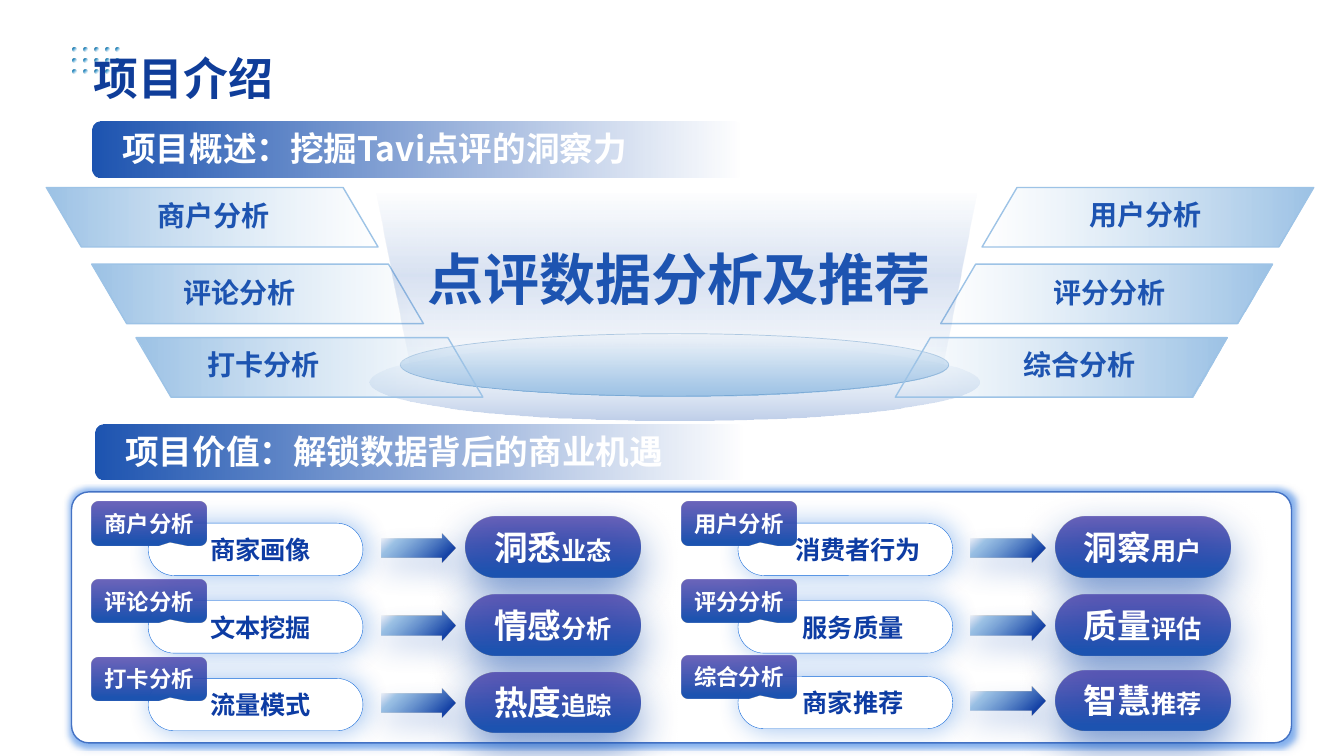
import math

from pptx import Presentation
from pptx.dml.color import RGBColor
from pptx.enum.shapes import MSO_SHAPE
from pptx.enum.text import MSO_ANCHOR, PP_ALIGN
from pptx.oxml import parse_xml
from pptx.oxml.ns import nsdecls, qn
from pptx.util import Inches, Pt

LEFT, CENTER = PP_ALIGN.LEFT, PP_ALIGN.CENTER
TOP, MIDDLE = MSO_ANCHOR.TOP, MSO_ANCHOR.MIDDLE
ROUND, OVAL = MSO_SHAPE.ROUNDED_RECTANGLE, MSO_SHAPE.OVAL
SLANT, TRAPEZOID = MSO_SHAPE.PARALLELOGRAM, MSO_SHAPE.TRAPEZOID
CALLOUT, ARROW = MSO_SHAPE.ROUNDED_RECTANGULAR_CALLOUT, MSO_SHAPE.RIGHT_ARROW
FONT = "Noto Sans CJK SC"

COLORS = {
    "white": "FFFFFF", "blue": "1D54B1", "sky": "9DC3E6", "pale": "BDD7EE",
    "title": "0F3D99", "pill": "0D3CA3", "bright": "0D66DA", "frame": "4472C4",
    "violet": "463DA9", "rim": "0070C0", "edge": "2E75B6", "glow": "5B9BF0",
    "dot": "006FAC", "dot_end": "0086CE",
    "arrow": "00319E", "arrow_mid": "5B9BD5", "arrow_end": "698ED0",
}

# Content
TITLE = "项目介绍"
BANNERS = [("项目概述：挖掘Tavi点评的洞察力", 0.92, 1.21),
           ("项目价值：解锁数据背后的商业机遇", 0.95, 4.21)]
CENTER_TEXT = "点评数据分析及推荐"
# Side bands: left, top, width, mirrored
BACK_BANDS = [(9.33, 2.62, 3.29, False), (0.46, 1.86, 3.29, True),
              (0.91, 2.62, 3.29, True)]
FRONT_BANDS = [(1.35, 3.35, 3.44, True), (8.88, 3.35, 3.29, False),
               (9.74, 1.86, 3.29, False)]
# Band labels: text, left, top, width, alignment
BAND_LABELS = [
    ("商户分析", 1.46, 1.92, 1.4, LEFT), ("评论分析", 1.72, 2.68, 2.77, LEFT),
    ("打卡分析", 1.96, 3.4, 1.4, LEFT), ("用户分析", 9.95, 1.91, 2.83, CENTER),
    ("评分分析", 9.59, 2.68, 2.83, CENTER), ("综合分析", 10.05, 3.4, 1.4, LEFT),
]
# Value columns: left, then rows of top, tag, method, extra indent, result, object
VALUE_COLUMNS = [
    (0.91, [(5.19, "商户分析", "商家画像", 0.1, "洞悉", "业态"),
            (5.96, "评论分析", "文本挖掘", 0.1, "情感", "分析"),
            (6.73, "打卡分析", "流量模式", 0.1, "热度", "追踪")]),
    (6.76, [(5.19, "用户分析", "消费者行为", 0.25, "洞察", "用户"),
            (5.96, "评分分析", "服务质量", 0.15, "质量", "评估"),
            (6.71, "综合分析", "商家推荐", 0.15, "智慧", "推荐")]),
]

# Gradients: stops of position, colour, opacity; then the angle (None: from a corner)
BAND_FILL = ([(0, "sky", 100), (100, "pale", 0)], 180)
BANNER_FILL = ([(0, "blue", 100), (100, "blue", 0)], 0)
BEAM_FILL = ([(0, "blue", 0), (53, "blue", 17), (98, "blue", 0)], 90)
BASE_FILL = ([(0, "sky", 0), (100, "blue", 29)], 90)
DISC_FILL = ([(0, "sky", 0), (100, "sky", 100)], 90)
RIM_FILL = ([(0, "sky", 0), (50, "sky", 100), (100, "rim", 100)], 45)
DOT_FILL = ([(18, "dot", 100), (82, "dot_end", 0)], 45)
BUTTON_FILL = ([(8, "blue", 100), (100, "violet", 79)], 270)
ARROW_FILL = ([(16, "arrow", 90), (79, "arrow_mid", 57), (98, "arrow_end", 0)], None)


def rgb(name):
    return RGBColor.from_string(COLORS[name])


def color_xml(name, opacity):
    return f'<a:srgbClr val="{COLORS[name]}"><a:alpha val="{opacity * 1000}"/></a:srgbClr>'


def paint(shape, fill=None, line=None, width=1):
    if isinstance(fill, tuple):
        stops, angle = fill
        stop_xml = "".join(f'<a:gs pos="{position * 1000}">{color_xml(name, opacity)}</a:gs>'
                           for position, name, opacity in stops)
        if angle is None:
            shade = '<a:path path="circle"><a:fillToRect l="100000" t="100000"/></a:path>'
        else:
            shade = f'<a:lin ang="{angle * 60000}" scaled="0"/>'
        shape.fill.background()
        properties = shape._element.spPr
        properties.replace(properties.find(qn("a:noFill")), parse_xml(
            f'<a:gradFill {nsdecls("a")} rotWithShape="1">'
            f'<a:gsLst>{stop_xml}</a:gsLst>{shade}</a:gradFill>'))
    else:
        shape.fill.solid()
        shape.fill.fore_color.rgb = rgb(fill)
    if line:
        shape.line.color.rgb = rgb(line)
        shape.line.width = Pt(width)
    else:
        shape.line.fill.background()
    shape.shadow.inherit = False


def add_effect(shape, xml):
    shape._element.spPr.find(qn("a:effectLst")).append(parse_xml(xml))


def add_shadow(shape, name, opacity, blur, distance, angle):
    add_effect(shape, f'<a:outerShdw {nsdecls("a")} blurRad="{Pt(blur)}" dist="{Pt(distance)}" '
                      f'dir="{angle * 60000}" rotWithShape="0">{color_xml(name, opacity)}</a:outerShdw>')


def draw(kind, box, fill, line=None, width=1, adjust=()):
    shape = page.shapes.add_shape(kind, *map(Inches, box))
    for index, value in enumerate(adjust):
        shape.adjustments[index] = value
    paint(shape, fill, line, width)
    return shape


def write(shape, spans, size, color, align=CENTER, anchor=MIDDLE, left=0.1):
    """Spans are (text, size) pairs, where size None keeps the paragraph size."""
    frame = shape.text_frame
    frame.word_wrap = True
    frame.vertical_anchor = anchor
    frame.margin_left, frame.margin_right = Inches(left), Inches(0.1)
    frame.margin_top = frame.margin_bottom = Inches(0.05)
    para = frame.paragraphs[0]
    para.alignment = align
    font = para.font
    font.size, font.bold, font.name = Pt(size), True, FONT
    font.color.rgb = rgb(color)
    font._element.append(parse_xml(f'<a:ea {nsdecls("a")} typeface="{FONT}"/>'))
    for text, span_size in spans:
        span = para.add_run()
        span.text = text
        if span_size:
            span.font.size = Pt(span_size)
    return para


def add_label(text, box, size, align):
    label = page.shapes.add_textbox(*map(Inches, box))
    write(label, [(text, None)], size, "blue", align, TOP)


def add_bands(bands):
    for left, top, width, mirrored in bands:
        band = draw(SLANT, (left, top, width, 0.59), BAND_FILL, "sky", 1, [0.588])
        if mirrored:
            band._element.spPr.xfrm.set("flipH", "1")


deck = Presentation()
deck.slide_width, deck.slide_height = Inches(13.33), Inches(7.5)
page = deck.slides.add_slide(deck.slide_layouts[5])

# Light beam over the stage
add_bands(BACK_BANDS)
beam = draw(TRAPEZOID, (3.72, 1.87, 5.97, 1.83), BEAM_FILL, adjust=[0.196])
beam.rotation = 180

# Stage: base, disc and curved rim
draw(OVAL, (3.67, 3.41, 6.04, 0.76), BASE_FILL)
disc = draw(OVAL, (3.97, 3.31, 5.44, 0.62), DISC_FILL, "edge", 0.5)
disc.line._ln.find(".//" + qn("a:srgbClr")).append(
    parse_xml(f'<a:alpha {nsdecls("a")} val="33000"/>'))
STEPS = 48
arc = [(6.69 - 2.72 * math.cos(math.pi * step / STEPS),
        3.59 + 0.34 * math.sin(math.pi * step / STEPS)) for step in range(STEPS + 1)]
outline = arc + [(x, y + 0.08) for x, y in reversed(arc)]
builder = page.shapes.build_freeform(*outline[0], scale=Inches(1))
builder.add_line_segments(outline[1:], close=True)
paint(builder.convert_to_shape(), RIM_FILL)
add_label(CENTER_TEXT, (3.4, 2.38, 6.67, 0.77), 40, CENTER)

# Dot grid and title
for row in range(3):
    for column in range(5):
        draw(OVAL, (0.72 + 0.1075 * column, 0.47 + 0.11 * row, 0.04, 0.04), DOT_FILL)
title = page.shapes.title
title.left, title.top, title.width, title.height = map(Inches, (0.93, 0.45, 2.26, 0.64))
write(title, [(TITLE, None)], 32, "title", LEFT, TOP, left=0)
page.shapes._spTree.append(title._element)

# Banners, front bands and band labels
for text, left, top in BANNERS:
    banner = draw(ROUND, (left, top, 6.44, 0.55), BANNER_FILL, adjust=[0.139])
    para = write(banner, [(text, None)], 24, "white", LEFT, left=0.27)
    para.line_spacing = Pt(27)
add_bands(FRONT_BANDS)
for text, left, top, width, align in BAND_LABELS:
    add_label(text, (left, top, width, 0.48), 20, align)

# Value panel
panel = draw(ROUND, (0.71, 4.88, 12.1, 2.49), "white", "frame", 1, [0.069])
add_effect(panel, f'<a:glow {nsdecls("a")} rad="{Pt(5)}">{color_xml("glow", 60)}</a:glow>')
add_shadow(panel, "blue", 30, 4, 1, 0)
for left, rows in VALUE_COLUMNS:
    for top, tag_text, method, indent, result, target in rows:
        pill = draw(ROUND, (left + 0.56, top, 2.13, 0.52), "white", "bright", 0.25, [0.5])
        add_shadow(pill, "bright", 40, 19, 2, 0)
        write(pill, [(method, None)], 18, "pill", left=0.1 + indent)
        tag = draw(CALLOUT, (left, top - 0.21, 1.14, 0.43), BUTTON_FILL,
                   adjust=[0.18, 0.419, 0.167])
        write(tag, [(tag_text, None)], 16, "white")
        button = draw(ROUND, (left + 3.71, top - 0.06, 1.73, 0.6), BUTTON_FILL, adjust=[0.5])
        add_shadow(button, "blue", 64, 31, 11.3, 90)
        write(button, [(result, 24), (target, 18)], 24, "white")
        arrow = draw(ARROW, (left + 2.87, top + 0.1, 0.74, 0.29), ARROW_FILL,
                     adjust=[0.65, 0.476])
        add_shadow(arrow, "frame", 40, 20, 9.7, 90)

deck.save("out.pptx")
